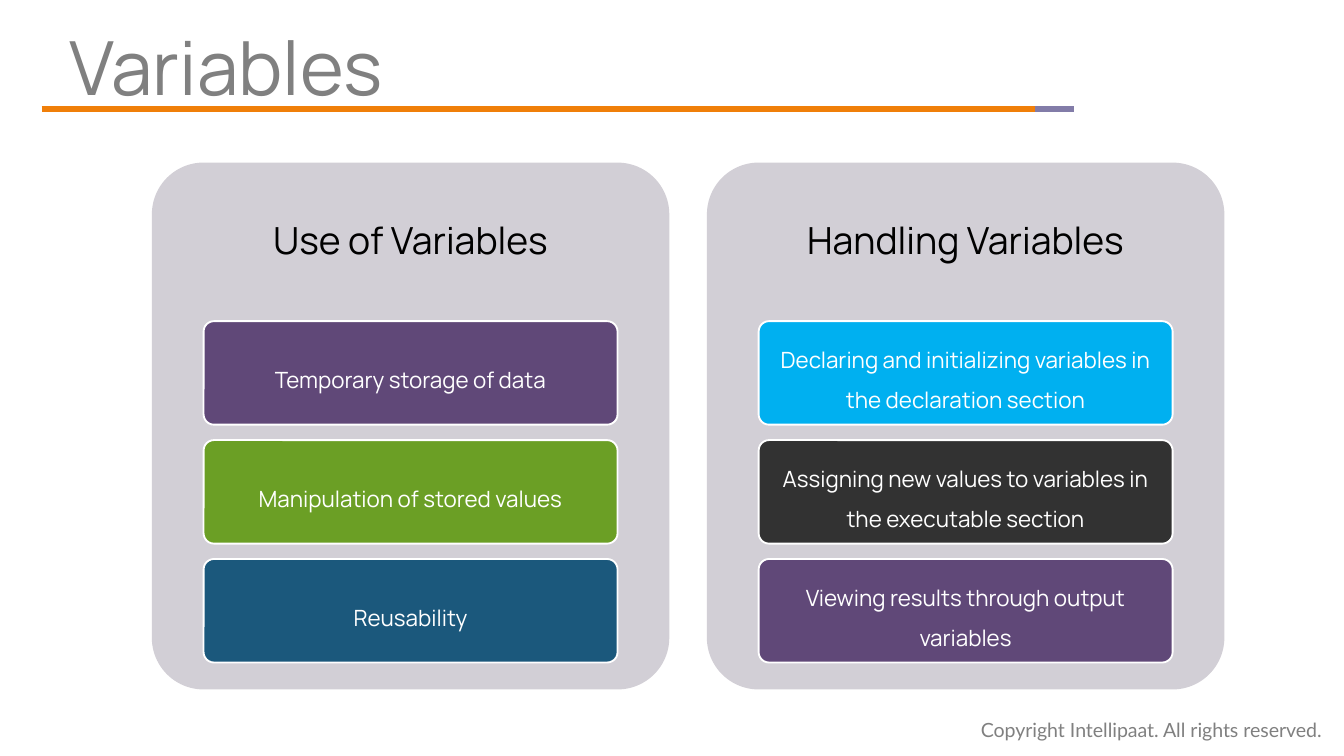
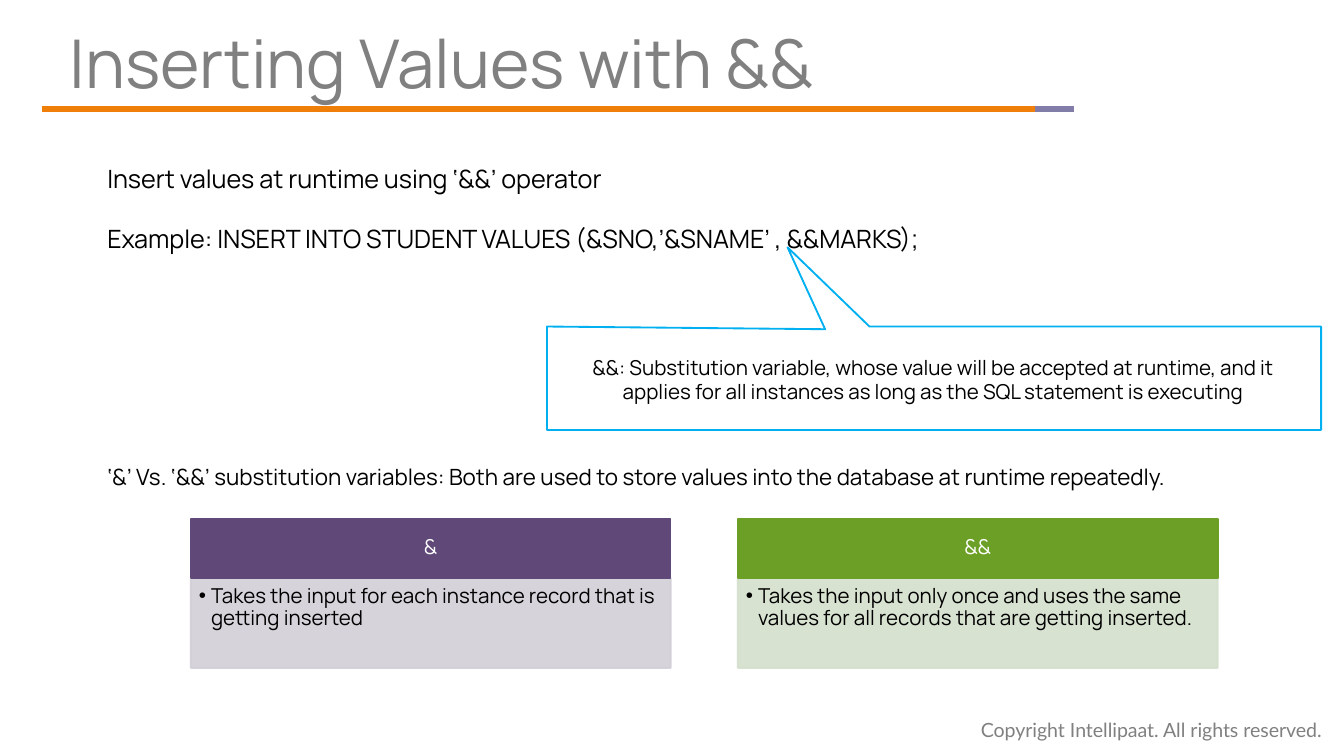
"""Build two slides on variables and substitution in SQL."""
from lxml import etree
from pptx import Presentation
from pptx.dml.color import RGBColor
from pptx.enum.shapes import MSO_CONNECTOR, MSO_SHAPE
from pptx.enum.text import MSO_ANCHOR, MSO_AUTO_SIZE, PP_ALIGN
from pptx.oxml.ns import qn
from pptx.util import Inches, Pt

LEFT, CENTER = PP_ALIGN.LEFT, PP_ALIGN.CENTER
TOP, MIDDLE = MSO_ANCHOR.TOP, MSO_ANCHOR.MIDDLE
FIXED = MSO_AUTO_SIZE.NONE
ROUND, RECT = MSO_SHAPE.ROUNDED_RECTANGLE, MSO_SHAPE.RECTANGLE
STRAIGHT = MSO_CONNECTOR.STRAIGHT


class Theme:
    font, foot_font = "Manrope", "Lato"
    black, white, gray, dark = "000000", "FFFFFF", "808080", "323232"
    orange, lilac = "F07F09", "827CA8"
    purple, green, blue, cyan = "604878", "6B9F25", "1B587C", "00B0F0"
    panel, mint = "D2CFD6", "D4DFCD"
    big, title, head, lead, body, small, foot = 40, 36, 20, 13.5, 12, 11, 10.5


def write(shape, lines, size, color=Theme.black, align=LEFT, anchor=TOP,
          space=1.0, inset=(0.1, 0.05, 0.1, 0.05), font=Theme.font, wrap=True):
    frame = shape.text_frame
    frame.auto_size = FIXED
    frame.word_wrap = wrap
    frame.vertical_anchor = anchor
    (frame.margin_left, frame.margin_top,
     frame.margin_right, frame.margin_bottom) = map(Inches, inset)
    for i, line in enumerate(lines):
        para = frame.add_paragraph() if i else frame.paragraphs[0]
        para.alignment = align
        para.line_spacing = space
        para.space_before = Pt(0)
        run = para.add_run()
        run.text = line
        run.font.name = font
        run.font.size = Pt(size)
        run.font.color.rgb = RGBColor.from_string(color)


def paint(shape, fill, line=None, alpha=None):
    shape.shadow.inherit = False
    shape.fill.solid()
    shape.fill.fore_color.rgb = RGBColor.from_string(fill)
    if line:
        shape.line.color.rgb = RGBColor.from_string(line)
        shape.line.width = Pt(1)
    else:
        shape.line.fill.background()
    if alpha:
        for tone in shape.element.spPr.iter(qn("a:srgbClr")):
            etree.SubElement(tone, qn("a:alpha"), val=str(alpha * 1000))


deck = Presentation()
deck.slide_width, deck.slide_height = Inches(10), Inches(10 * 9 / 16)

slides = []
for layout, text, size, width in (
        (5, "Variables", Theme.big, 7.61),
        (3, "Inserting Values with &&", Theme.title, 8.29)):
    slide = deck.slides.add_slide(deck.slide_layouts[layout])
    slides.append(slide)
    title = slide.shapes.title
    title.left, title.top = Inches(0.52), Inches(0.18)
    title.width, title.height = Inches(width), Inches(0.63)
    write(title, [text], size, Theme.gray, space=0.9, inset=(0, 0.05, 0.1, 0.05))
    for start, end, color in ((0.31, 7.7, Theme.orange), (7.7, 7.99, Theme.lilac)):
        rule = slide.shapes.add_connector(
            STRAIGHT, Inches(start), Inches(0.81), Inches(end), Inches(0.81))
        rule.line.color.rgb = RGBColor.from_string(color)
        rule.line.width = Pt(3)
        etree.SubElement(rule.element.spPr, qn("a:effectLst"))
    foot = slide.shapes.add_textbox(Inches(7.2), Inches(5.29), Inches(2.83), Inches(0.28))
    write(foot, ["Copyright Intellipaat. All rights reserved."], Theme.foot,
          Theme.gray, font=Theme.foot_font, wrap=False)

first, second = slides

panels = (
    ("Use of Variables", (
        ("Temporary storage of data", Theme.purple),
        ("Manipulation of stored values", Theme.green),
        ("Reusability", Theme.blue))),
    ("Handling Variables", (
        ("Declaring and initializing variables in the declaration section", Theme.cyan),
        ("Assigning new values to variables in the executable section", Theme.dark),
        ("Viewing results through output variables", Theme.purple))),
)
for col, (head, cards) in enumerate(panels):
    left = 1.13 + 4.13 * col
    panel = first.shapes.add_shape(
        ROUND, Inches(left), Inches(1.21), Inches(3.85), Inches(3.92))
    panel.adjustments[0] = 0.1
    paint(panel, Theme.panel)
    box = first.shapes.add_textbox(
        Inches(left), Inches(1.21), Inches(3.85), Inches(1.18))
    write(box, [head], Theme.head, align=CENTER, anchor=MIDDLE, space=0.9,
          inset=[0.08] * 4)
    for row, (text, color) in enumerate(cards):
        card = first.shapes.add_shape(
            ROUND, Inches(left + 0.385), Inches(2.39 + 1.77 * row / 2),
            Inches(3.08), Inches(0.77))
        card.adjustments[0] = 0.1
        paint(card, color, Theme.white)
        write(card, [text], Theme.body, Theme.white, CENTER, MIDDLE, 1.5, [0.03] * 4)

lead = second.shapes.add_textbox(Inches(0.7), Inches(0.94), Inches(8.77), Inches(0.94))
write(lead, ["Insert values at runtime using ‘&&’ operator",
             "Example: INSERT INTO STUDENT VALUES (&SNO,’&SNAME’ , &&MARKS);"],
      Theme.lead, space=2.0)
versus = second.shapes.add_textbox(Inches(0.7), Inches(3.2), Inches(9.3), Inches(0.44))
write(versus, ["‘&’ Vs. ‘&&’ substitution variables: Both are used to store values "
               "into the database at runtime repeatedly."], Theme.body, space=2.0)

trace = second.shapes.build_freeform(Inches(4.07), Inches(2.43))
trace.add_line_segments(
    [(Inches(x), Inches(y)) for x, y in (
        (6.14, 2.45), (5.86, 1.84), (6.47, 2.43),
        (9.83, 2.43), (9.83, 3.2), (4.07, 3.2))], close=True)
paint(trace.convert_to_shape(), Theme.white, Theme.cyan)
note = second.shapes.add_textbox(Inches(4.18), Inches(2.59), Inches(5.53), Inches(0.47))
write(note, ["&&: Substitution variable, whose value will be accepted at runtime, "
             "and it applies for all instances as long as the SQL statement is executing"],
      Theme.small, align=CENTER)

columns = (
    ("&", "Takes the input for each instance record that is getting inserted",
     Theme.purple, Theme.panel),
    ("&&", "Takes the input only once and uses the same values for all records "
     "that are getting inserted.", Theme.green, Theme.mint),
)
for col, (head, text, color, pale) in enumerate(columns):
    left = Inches(1.42 + 4.07 * col)
    band = second.shapes.add_shape(RECT, left, Inches(3.86), Inches(3.57), Inches(0.44))
    paint(band, color, color)
    write(band, [head], Theme.small, Theme.white, CENTER, MIDDLE, 0.9,
          (0.09, 0.05, 0.09, 0.05))
    body = second.placeholders[col + 1]
    body.left, body.top = left, Inches(4.3)
    body.width, body.height = Inches(3.57), Inches(0.67)
    paint(body, pale, pale, 90)
    props = body.text_frame.paragraphs[0]._p.get_or_add_pPr()
    props.set("marL", str(Inches(0.09)))
    props.set("indent", str(-Inches(0.09)))
    etree.SubElement(props, qn("a:buChar"), char="•")
    write(body, [text], Theme.small, space=0.9, inset=(0.06, 0.06, 0.09, 0.1))

deck.save("out.pptx")
